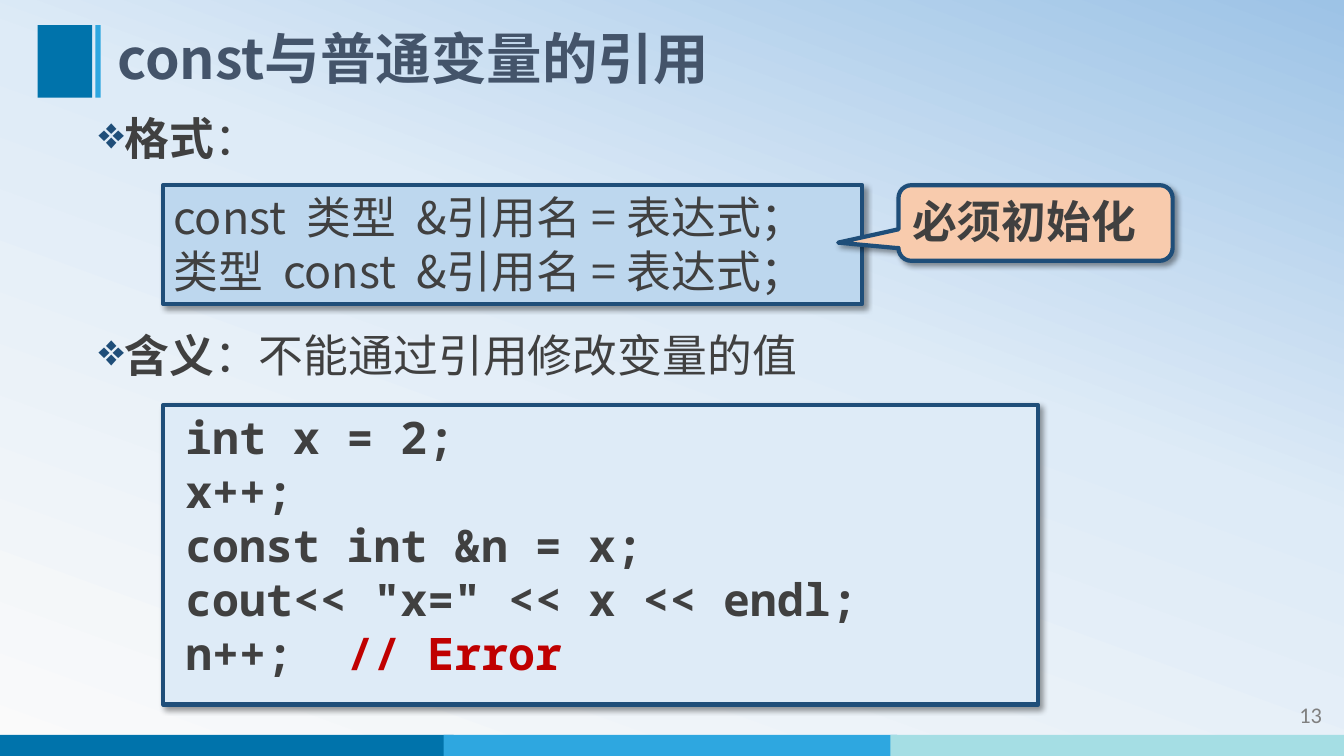
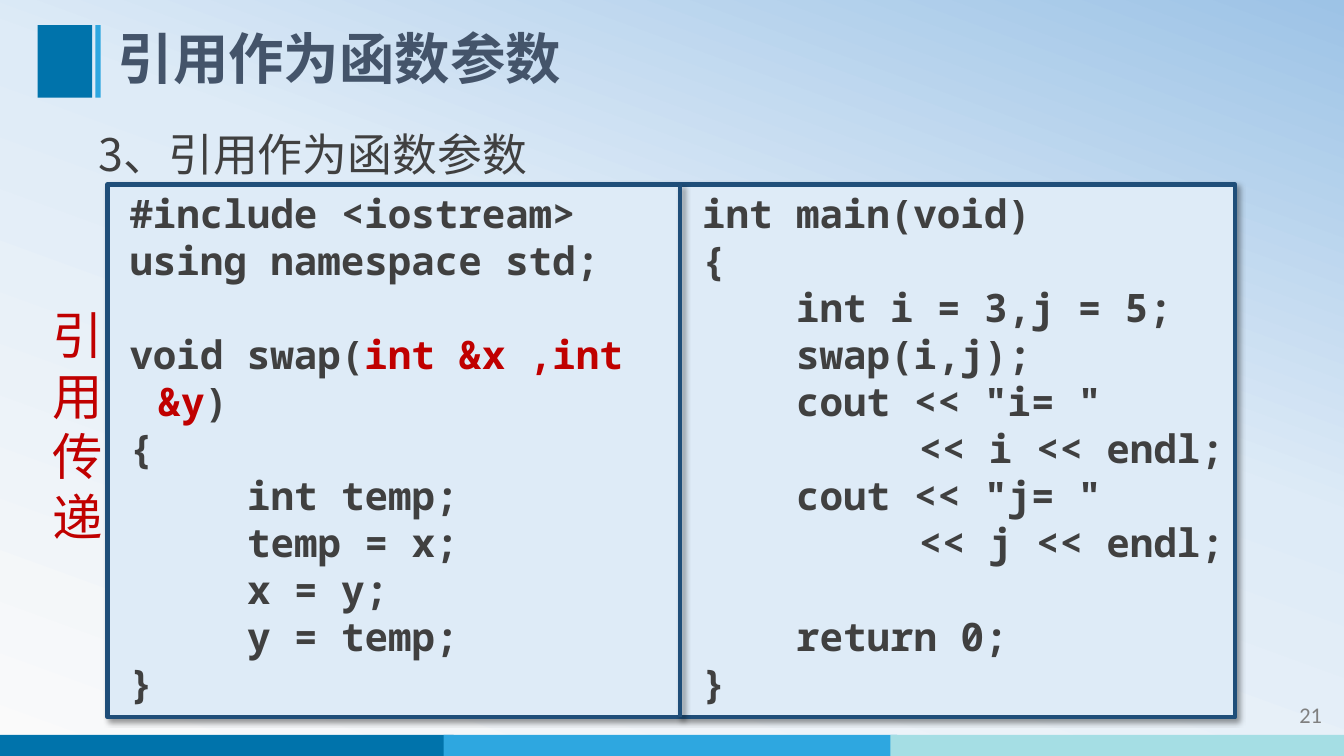
from lxml import etree
from pptx import Presentation
from pptx.dml.color import RGBColor
from pptx.enum import shapes, text
from pptx.oxml import ns
from pptx import util as u

NAVY = RGBColor(0x1F, 0x4E, 0x79)
BLUE = RGBColor(0x00, 0x73, 0xAB)
SKY = RGBColor(0x2E, 0xA7, 0xE0)
AQUA = RGBColor(0xA5, 0xDE, 0xE4)
PALE = RGBColor(0xDE, 0xEB, 0xF7)
ICE = RGBColor(0xBD, 0xD7, 0xEE)
PEACH = RGBColor(0xF8, 0xCB, 0xAD)
SLATE = RGBColor(0x44, 0x54, 0x6A)
INK = RGBColor(0x40, 0x40, 0x40)
GRAY = RGBColor(0x80, 0x80, 0x80)
RED = RGBColor(0xC0, 0x00, 0x00)
WHITE = RGBColor(0xFA, 0xFA, 0xFA)
DEEP = RGBColor(0x9D, 0xC3, 0xE6)

SANS, MONO, PLAIN = "Noto Sans CJK SC", "Noto Sans Mono", "Calibri"
BOX = shapes.MSO_SHAPE.RECTANGLE
CALL = shapes.MSO_SHAPE.ROUNDED_RECTANGULAR_CALLOUT


def node(top, tag, **attrs):
    return etree.SubElement(top, ns.qn("a:" + tag), attrs)


class Deck:
    """Draws styled elements, placed in hundredths of the slide's size."""

    def __init__(self):
        self.prs = Presentation()
        self.prs.slide_width = u.Inches(13.33)
        self.prs.slide_height = u.Inches(7.5)
        self.page = None

    def x(self, share):
        return round(self.prs.slide_width * share / 100)

    def y(self, share):
        return round(self.prs.slide_height * share / 100)

    def area(self, left, top, width, height):
        return self.x(left), self.y(top), self.x(width), self.y(height)

    def start(self, title, number):
        self.page = self.prs.slides.add_slide(self.prs.slide_layouts[5])
        self.wash()
        for left, fill in zip((0, 33, 66.25), (BLUE, SKY, AQUA)):
            self.box((left, 97.2, 33.75, 2.8), fill)
        self.box((2.8, 3.33, 4.05, 9.6), BLUE)
        self.box((7.1, 3.33, 0.4, 9.6), SKY)
        self.label((87.2, 92.1, 11.9, 5.3), [number], size=16, face=PLAIN,
                   color=GRAY, align=text.PP_ALIGN.RIGHT)
        head = self.page.shapes.title
        head.left, head.top, head.width, head.height = self.area(8, 3.3, 81.5, 9.6)
        self.put(head, [title], size=39.6, color=SLATE, bold=True, lead=0.9)
        head.text_frame.vertical_anchor = text.MSO_ANCHOR.MIDDLE

    def wash(self):
        fill = self.page.background.fill
        fill.gradient()
        grad = self.page.background._cSld.find(".//" + ns.qn("a:gradFill"))
        for part in list(grad):
            grad.remove(part)
        stops = node(grad, "gsLst")
        for pos, color in ((0, WHITE), (58, PALE), (100, DEEP)):
            stop = node(stops, "gs", pos=str(pos * 1000))
            node(stop, "srgbClr", val=str(color))
        node(grad, "lin", ang=str(290 * 60000), scaled="0")

    def shade(self, shape):
        props = shape._element.spPr
        for old in props.findall(ns.qn("a:effectLst")):
            props.remove(old)
        cast = node(node(props, "effectLst"), "outerShdw", blurRad=str(u.Pt(4)),
                    dist=str(u.Pt(3)), dir=str(45 * 60000), algn="tl", rotWithShape="0")
        node(node(cast, "srgbClr", val="000000"), "alpha", val="40000")

    def edge(self, shape):
        shape.line.color.rgb = NAVY
        shape.line.width = u.Pt(3)
        self.shade(shape)

    def box(self, area, fill, kind=BOX, framed=False):
        shape = self.page.shapes.add_shape(kind, *self.area(*area))
        shape.shadow.inherit = False
        shape.fill.solid()
        shape.fill.fore_color.rgb = fill
        if framed:
            self.edge(shape)
        else:
            shape.line.fill.background()
        return shape

    def rule(self, left, top, bottom):
        line = self.page.shapes.add_connector(
            shapes.MSO_CONNECTOR.STRAIGHT, self.x(left), self.y(top),
            self.x(left), self.y(bottom))
        self.edge(line)

    def label(self, area, lines, **style):
        shape = self.page.shapes.add_textbox(*self.area(*area))
        self.put(shape, lines, **style)

    def point(self, area, line):
        self.label(area, [line], bullet=True)

    def put(self, shape, lines, size=32, face=SANS, color=INK, bold=False,
            align=text.PP_ALIGN.LEFT, lead=None, bullet=False, mark=None):
        frame = shape.text_frame
        frame.word_wrap = True
        frame.auto_size = text.MSO_AUTO_SIZE.NONE
        frame.vertical_anchor = text.MSO_ANCHOR.TOP
        for i, line in enumerate(lines):
            para = frame.paragraphs[0] if i == 0 else frame.add_paragraph()
            if bullet:
                self.bullet(para)
            para.alignment = align
            para.line_spacing = lead or u.Pt(size * 1.2)
            font = para.font
            font.size, font.bold = u.Pt(size), bold
            font.color.rgb = color
            font.name = face
            node(para._p.pPr.find(ns.qn("a:defRPr")), "ea", typeface=SANS)
            self.runs(para, line, mark)

    def runs(self, para, line, mark):
        for i, part in enumerate(line.split("*")):
            for j, piece in enumerate(part.split("\n")):
                if j:
                    para.add_line_break()
                if piece:
                    run = para.add_run()
                    run.text = piece
                    if i % 2 and mark:
                        run.font.color.rgb = mark
                    elif i % 2:
                        run.font.bold = True

    def indent(self, para, left, first):
        props = para._p.get_or_add_pPr()
        props.set("marL", str(u.Inches(left)))
        props.set("indent", str(u.Inches(first)))
        return props

    def bullet(self, para):
        props = self.indent(para, 0.25, -0.25)
        node(node(props, "buClr"), "srgbClr", val=str(NAVY))
        node(props, "buChar", char="❖")

    def code(self, shape, source, size):
        rows = []
        gap = False
        for line in source.split("\n"):
            if line:
                parts = line.split("\\")
                bare = [part.lstrip() for part in parts]
                pads = [len(a) - len(b) for a, b in zip(parts, bare)]
                rows.append(("\n".join(bare), pads[0], pads[-1], gap))
            gap = not line
        self.put(shape, [row[0] for row in rows], size=size, face=MONO,
                 bold=True, mark=RED)
        shape.text_frame.margin_right = 0
        step = size * 0.6 / 72
        for para, (_, first, rest, gap) in zip(shape.text_frame.paragraphs, rows):
            self.indent(para, 0.4 + rest * step, (first - rest) * step - 0.28)
            if gap:
                para.space_before = u.Pt(size * 1.2)

    def pane(self, area, source, size=28):
        self.code(self.page.shapes.add_textbox(*self.area(*area)), source, size)


CONST = """int x = 2;
x++;
const int &n = x;
cout<< "x=" << x << endl;
n++;  *// Error*"""

SWAP = """#include <iostream>
using namespace std;

void swap(*int &x ,int &y*)
{
     int temp;
     temp = x;
     x = y;
     y = temp;
}"""

MAIN = r"""int main(void)
{
    int i = 3,j = 5;
    swap(i,j);
    cout << "i= "\        << i << endl;
    cout << "j= "\        << j << endl;

    return 0;
}"""

deck = Deck()

deck.start("const与普通变量的引用", "13")
deck.point((6.6, 14, 29, 9.3), "*格式*：")
deck.code(deck.box((12.15, 53.6, 65.1, 39.6), PALE, framed=True), CONST, 32)
form = deck.box((12.15, 24.5, 52, 15.7), ICE, framed=True)
deck.put(form, ["const  类型  &引用名 = 表达式；", "类型  const  &引用名 = 表达式；"])
note = deck.box((66.85, 24.5, 20.4, 10), PEACH, CALL, framed=True)
for i, value in enumerate((-0.72, 0.26, 0.17)):
    note.adjustments[i] = value
deck.put(note, ["必须初始化"], face=MONO, bold=True)
deck.point((6.6, 42.7, 57.5, 9.3), "*含义*：不能通过引用修改变量的值")

deck.start("引用作为函数参数", "21")
deck.label((6.6, 16.1, 83.5, 8.3), ["3、引用作为函数参数"])
top, tall, left, mid, right = 24.4, 70.5, 8, 50.6, 91.9
deck.box((left, top, right - left, tall), PALE, framed=True)
deck.pane((left, top, mid - left, tall), SWAP)
deck.pane((mid, top, right - mid, tall), MAIN)
deck.rule(mid, top, top + tall)
deck.label((3.2, 39.6, 4.1, 33.6), list("引用传递"), size=36, color=RED)

deck.prs.save("out.pptx")
